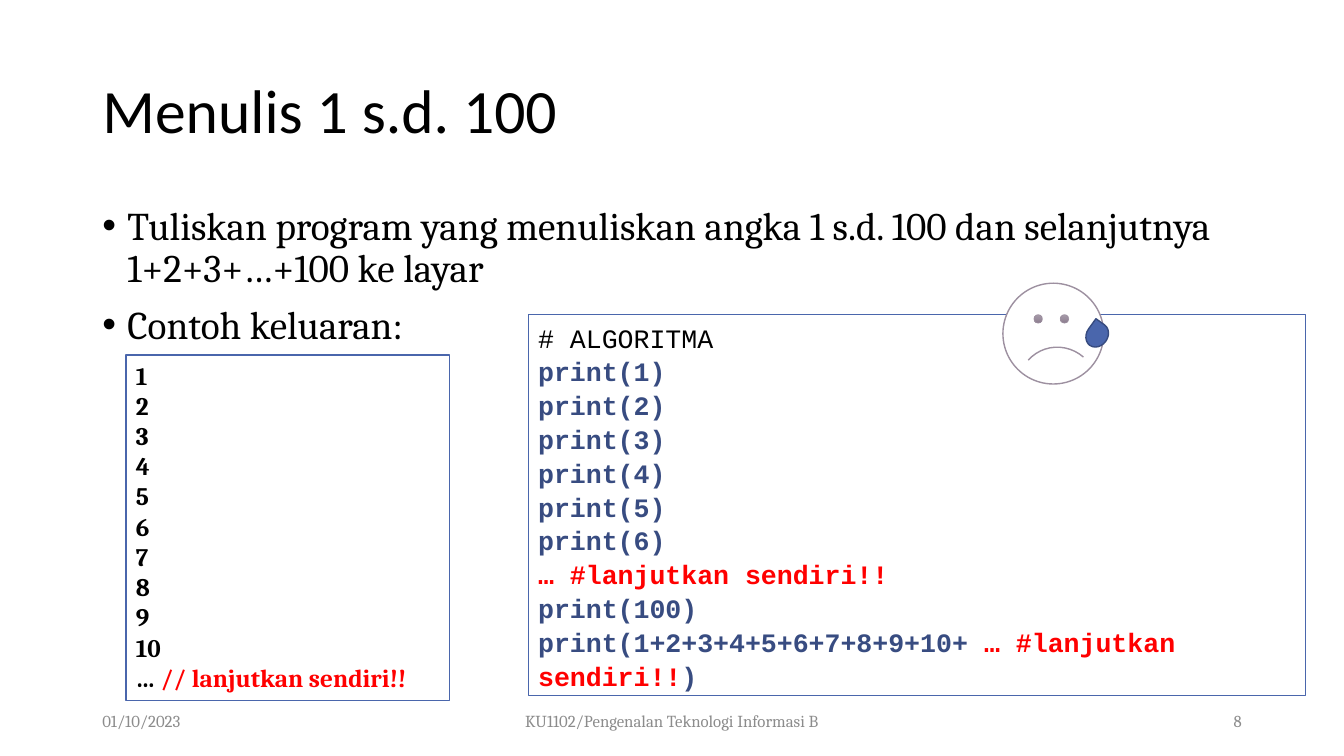
"""Build the slide about printing the numbers 1 to 100."""
import pptx
import pptx.dml.color
import pptx.enum.shapes
import pptx.enum.text
import pptx.oxml
import pptx.util

Pt = pptx.util.Pt
Shape = pptx.enum.shapes.MSO_SHAPE
Align = pptx.enum.text.PP_ALIGN
Anchor = pptx.enum.text.MSO_ANCHOR
BLACK, WHITE, RED, GRAY = "000000", "FFFFFF", "FF0000", "8C8C8C"
BLUE, NAVY, MAUVE = "4A66AC", "384C81", "9D90A0"


def paint(target, color):
    """Give a fill, line fill or font colour a solid hex colour."""
    if hasattr(target, "solid"):
        target.solid()
        target = target.fore_color
    else:
        target = target.color
    target.rgb = pptx.dml.color.RGBColor.from_string(color)


def write(frame, lines, font, size, align=Align.LEFT, anchor=Anchor.TOP, spacing=1.0):
    """Write lines of (text, colour, bold) runs into a text frame."""
    frame.word_wrap = True
    frame.vertical_anchor = anchor
    for index, spans in enumerate(lines):
        para = frame.add_paragraph() if index else frame.paragraphs[0]
        para.alignment = align
        para.line_spacing = spacing
        for text, color, bold in spans:
            span = para.add_run()
            span.text = text
            span.font.name = font
            span.font.size = Pt(size)
            span.font.bold = bold
            paint(span.font, color)


deck = pptx.Presentation()
deck.slide_width, deck.slide_height = Pt(960), Pt(540)
page = deck.slides.add_slide(deck.slide_layouts[5])
shapes = page.shapes

title = shapes.title
title.left, title.top, title.width, title.height = Pt(66), Pt(28.75), Pt(828), Pt(104.4)
write(title.text_frame, [[("Menulis 1 s.d. 100", BLACK, False)]], "Calibri", 44,
      anchor=Anchor.MIDDLE, spacing=0.9)

body = shapes.add_textbox(Pt(66), Pt(144), Pt(828), Pt(342.6))
points = [
    "Tuliskan program yang menuliskan angka 1 s.d. 100 dan selanjutnya 1+2+3+…+100 ke layar",
    "Contoh keluaran: ",
]
write(body.text_frame, [[(text, BLACK, False)] for text in points], "Cambria", 28, spacing=0.9)
for para in body.text_frame.paragraphs:
    para.space_before = Pt(10)
    properties = para._p.get_or_add_pPr()
    properties.set("marL", str(Pt(18)))
    properties.set("indent", str(Pt(-18)))
    namespace = 'xmlns:a="http://schemas.openxmlformats.org/drawingml/2006/main"'
    properties.append(pptx.oxml.parse_xml(f'<a:buFont {namespace} typeface="Arial"/>'))
    properties.append(pptx.oxml.parse_xml(f'<a:buChar {namespace} char="•"/>'))

footers = [
    (66, 216, "01/10/2023", Align.LEFT),
    (318, 324, "KU1102/Pengenalan Teknologi Informasi B", Align.CENTER),
    (678, 216, "8", Align.RIGHT),
]
for left, width, text, align in footers:
    footer = shapes.add_textbox(Pt(left), Pt(500.5), Pt(width), Pt(28.75))
    write(footer.text_frame, [[(text, GRAY, False)]], "Cambria", 12, align, Anchor.MIDDLE)

reminder = "#lanjutkan sendiri!!"
output_lines = [[(str(number), BLACK, True)] for number in range(1, 11)]
output_lines.append([("… ", BLACK, True), ("// lanjutkan sendiri!!", RED, True)])
code_lines = [[("# ALGORITMA", BLACK, False)]]
code_lines += [[(f"print({number})", NAVY, True)] for number in range(1, 7)]
code_lines += [
    [(f"… {reminder}", RED, True)],
    [("print(100)", NAVY, True)],
    [("print(1+2+3+4+5+6+7+8+9+10+ ", NAVY, True), (f"… {reminder}", RED, True),
     (")", NAVY, True)],
]
panels = [
    (90, 253.5, 231, 247, output_lines, "Cambria", 18, 1.0),
    (377.3, 224.8, 555.1, 272, code_lines, "Courier New", 19, 1.06),
]
for left, top, width, height, lines, font, size, spacing in panels:
    panel = shapes.add_shape(Shape.RECTANGLE, Pt(left), Pt(top), Pt(width), Pt(height))
    panel.shadow.inherit = False
    paint(panel.fill, WHITE)
    paint(panel.line.fill, BLUE)
    panel.line.width = Pt(1)
    write(panel.text_frame, lines, font, size, spacing=spacing)

face_parts = [
    (Shape.OVAL, 716.4, 202.3, 72, 72, 0, WHITE, MAUVE, 1),
    (Shape.OVAL, 738.6, 224.8, 6, 6, 0, "gradient", MAUVE, 0.5),
    (Shape.OVAL, 757.4, 224.8, 6, 6, 0, "gradient", MAUVE, 0.5),
    (Shape.ARC, 727.9, 247.7, 55.4, 56.2, 311.4, None, MAUVE, 1),
    (Shape.TEAR, 774.7, 231.8, 18, 15.1, 305.6, BLUE, "374B7F", 1),
]
for kind, left, top, width, height, rotation, fill, line, weight in face_parts:
    part = shapes.add_shape(kind, Pt(left), Pt(top), Pt(width), Pt(height))
    part.shadow.inherit = False
    part.rotation = rotation
    paint(part.line.fill, line)
    part.line.width = Pt(weight)
    if fill == "gradient":
        part.fill.gradient()
        part.fill.gradient_angle = 270
        for stop, color in zip(part.fill.gradient_stops, ("A89CAA", "8D7E90")):
            paint(stop, color)
    elif fill:
        paint(part.fill, fill)
    else:
        part.fill.background()

deck.save("out.pptx")
